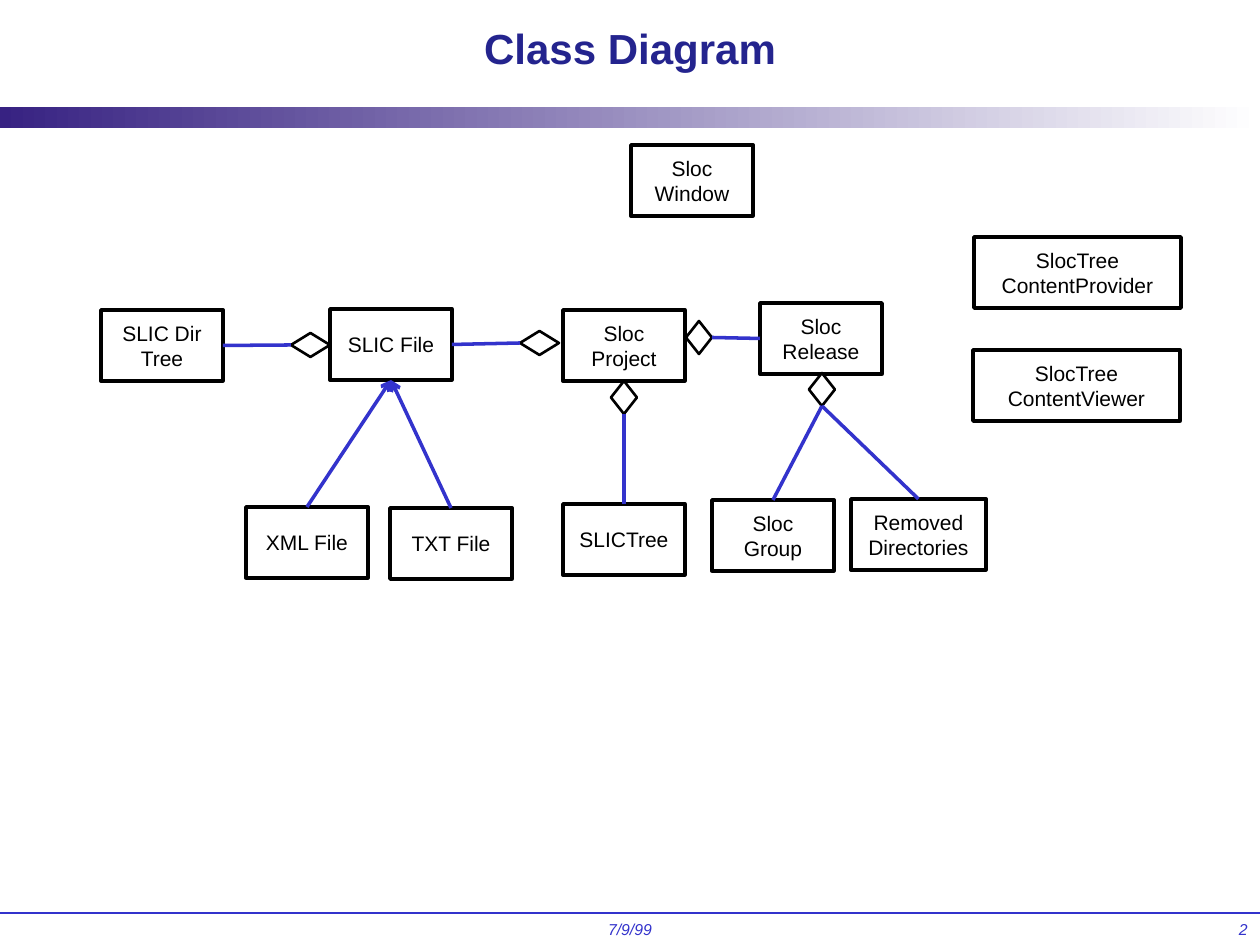
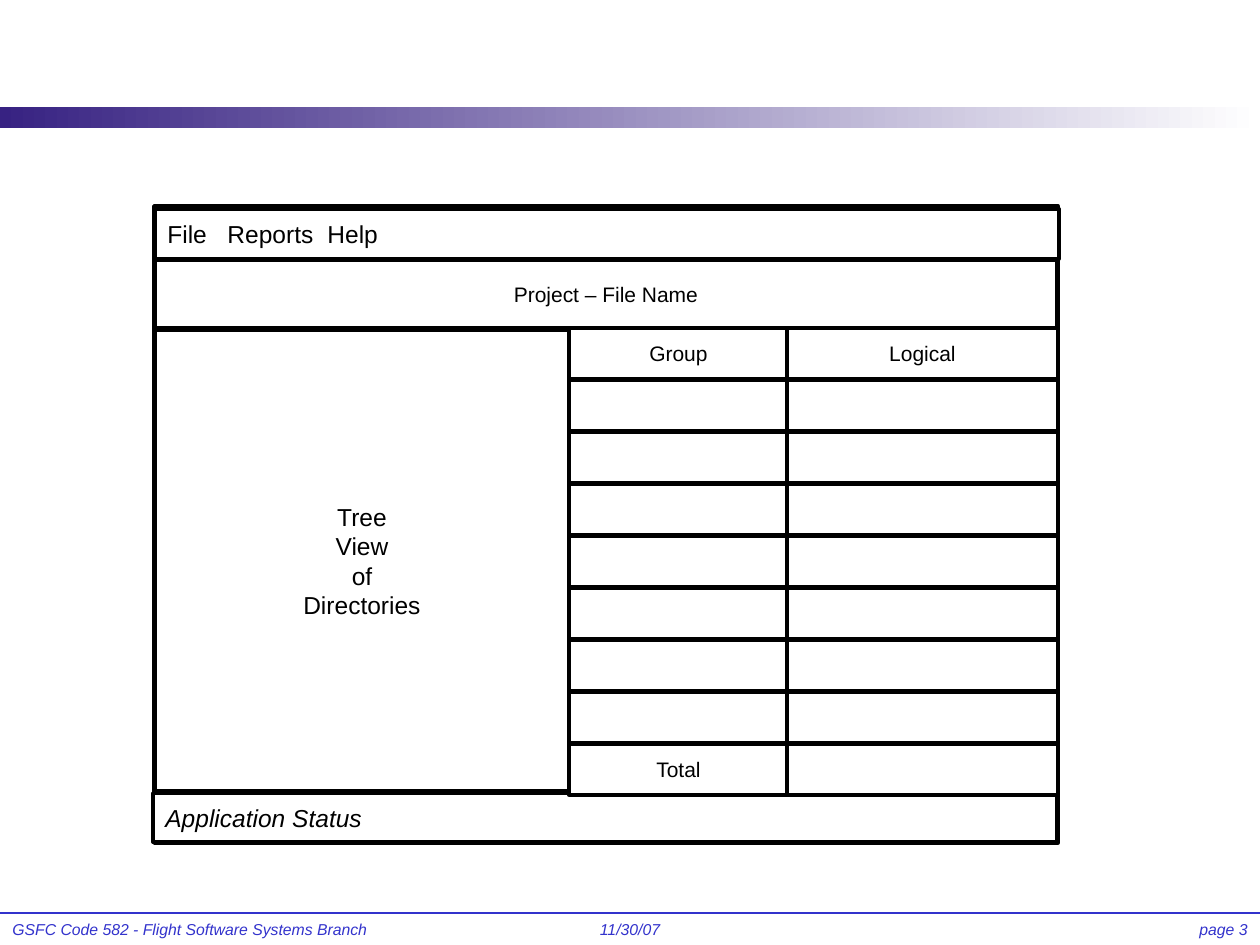
from dataclasses import dataclass

from lxml import etree
from pptx import Presentation
from pptx import util as u
from pptx.dml.color import RGBColor
from pptx.enum import shapes, text
from pptx.oxml import ns

PX = 914400 / 126
TOP, LEFT, BOTTOM, RIGHT = range(4)


@dataclass(frozen=True)
class Theme:
    """Colours, font, type sizes and line widths shared by the slides."""

    font: str = "Arial"
    ink: str = "000000"
    paper: str = "FFFFFF"
    accent: str = "3333CC"
    title: str = "24248E"
    band: str = "372282"
    title_size: int = 24
    large: int = 14
    body: int = 12
    small: int = 9
    stroke: float = 2
    thin: float = 1.5
    hairline: float = 0.75


THEME = Theme()


def px(length):
    """Turn pixels into EMU."""
    return u.Emu(round(length * PX))


def rgb(value):
    """Turn a hex string into a colour."""
    return RGBColor.from_string(value)


def write_text(frame, content, *, size=THEME.body, color=THEME.ink, bold=False, italic=False,
               align=text.PP_ALIGN.CENTER, anchor=text.MSO_ANCHOR.MIDDLE, tabs=()):
    """Fill a text frame, one paragraph per line, in one format."""
    frame.text = content
    frame.word_wrap = True
    frame.auto_size = text.MSO_AUTO_SIZE.NONE
    frame.vertical_anchor = anchor
    for para in frame.paragraphs:
        para.alignment = align
        if tabs:
            stops = etree.SubElement(para._p.get_or_add_pPr(), ns.qn("a:tabLst"))
            for stop in tabs:
                etree.SubElement(stops, ns.qn("a:tab"), pos=str(px(stop)), algn="l")
        for span in para.runs:
            font = span.font
            font.name, font.size = THEME.font, u.Pt(size)
            font.bold, font.italic = bold, italic
            font.color.rgb = rgb(color)


def add_outline(page, kind, left, top, width, height, stroke=THEME.stroke):
    """Add a white shape with a black outline."""
    shape = page.shapes.add_shape(kind, px(left), px(top), px(width), px(height))
    shape.shadow.inherit = False
    shape.fill.solid()
    shape.fill.fore_color.rgb = rgb(THEME.paper)
    shape.line.color.rgb = rgb(THEME.ink)
    shape.line.width = u.Pt(stroke)
    return shape


def add_box(page, left, top, width=122, height=71, content="", **style):
    """Add an outlined rectangle with optional text."""
    box = add_outline(page, shapes.MSO_SHAPE.RECTANGLE, left, top, width, height)
    if content:
        write_text(box.text_frame, content, **style)
    return box


def add_diamond(page, left, top, wide=False):
    """Add an aggregation diamond, lying or standing."""
    width, height = (39, 24) if wide else (26, 33)
    return add_outline(page, shapes.MSO_SHAPE.DIAMOND, left, top, width, height, THEME.thin)


def add_line(page, start=(0, 0), end=(0, 0), stroke=THEME.stroke):
    """Add a straight accent line without a shadow."""
    line = page.shapes.add_connector(
        shapes.MSO_CONNECTOR.STRAIGHT, *map(px, (*start, *end)))
    line.line.color.rgb = rgb(THEME.accent)
    line.line.width = u.Pt(stroke)
    etree.SubElement(line.element.spPr, ns.qn("a:effectLst"))
    return line


def link(page, source, source_side, target, target_side, arrow=False):
    """Glue a line between the sides of two shapes."""
    line = add_line(page)
    line.begin_connect(source, source_side)
    line.end_connect(target, target_side)
    if arrow:
        etree.SubElement(line.line._get_or_add_ln(), ns.qn("a:tailEnd"), type="arrow")


def add_footer(page, left, width, content, align):
    """Add one part of the footer."""
    box = page.shapes.add_textbox(px(left), px(914), px(width), px(31))
    write_text(box.text_frame, content, size=THEME.small, color=THEME.accent, italic=True,
               align=align, anchor=text.MSO_ANCHOR.TOP)


def add_footers(page, date, number, owner=""):
    """Add the date, the page number and the owner, if any."""
    add_footer(page, 462, 336, date, text.PP_ALIGN.CENTER)
    if owner:
        add_footer(page, 0, 399, owner, text.PP_ALIGN.LEFT)
    add_footer(page, 998, 262, number, text.PP_ALIGN.RIGHT)


def dress_master(deck, page):
    """Draw the band and footer rule, then move them to the master."""
    rule = add_line(page, (0, 913), (1260, 913), THEME.hairline)
    band = page.shapes.add_shape(shapes.MSO_SHAPE.RECTANGLE, 0, px(107), px(1260), px(21))
    band.shadow.inherit = False
    band.line.fill.background()
    band.fill.gradient()
    band.fill.gradient_angle = 0
    for stop, color in zip(band.fill.gradient_stops, (THEME.band, THEME.paper)):
        stop.color.rgb = rgb(color)
    tree = deck.slide_master.shapes.element if hasattr(
        deck.slide_master.shapes, "element") else deck.slide_master.shapes._spTree
    for shape in (rule, band):
        tree.append(shape.element)


def draw_class_diagram(page):
    """Draw the classes and how they relate."""
    title = page.shapes.title
    title.left, title.top, title.width, title.height = map(px, (94, 0, 1072, 95))
    write_text(title.text_frame, "Class Diagram", size=THEME.title_size,
               color=THEME.title, bold=True)
    add_footers(page, "7/9/99", "2")

    project = add_box(page, 563, 310, content="Sloc\nProject")
    slic_tree = add_box(page, 563, 504, content="SLICTree")
    xml_file = add_box(page, 246, 507, content="XML File")
    txt_file = add_box(page, 390, 508, content="TXT File")
    slic_file = add_box(page, 330, 309, content="SLIC File")
    dir_tree = add_box(page, 101, 310, content="SLIC Dir\nTree")
    release = add_box(page, 760, 303, content="Sloc\nRelease")
    group = add_box(page, 712, 500, content="Sloc\nGroup")
    removed = add_box(page, 851, 499, width=135, content="Removed\nDirectories")
    add_box(page, 631, 145, content="Sloc\nWindow")
    add_box(page, 974, 237, width=207, content="SlocTree\nContentProvider")
    add_box(page, 973, 350, width=207, content="SlocTree\nContentViewer")

    project_files = add_diamond(page, 520, 331, wide=True)
    file_dirs = add_diamond(page, 291, 333, wide=True)
    project_trees = add_diamond(page, 611, 381)
    project_releases = add_diamond(page, 686, 321)
    release_parts = add_diamond(page, 809, 373)

    for file_kind in (xml_file, txt_file):
        link(page, file_kind, TOP, slic_file, BOTTOM, arrow=True)
    link(page, slic_file, RIGHT, project_files, LEFT)
    link(page, dir_tree, RIGHT, file_dirs, LEFT)
    link(page, slic_tree, TOP, project_trees, BOTTOM)
    link(page, release, LEFT, project_releases, RIGHT)
    for part in (group, removed):
        link(page, part, TOP, release_parts, BOTTOM)


def draw_window_layout(page):
    """Draw the application window with its tree and count grid."""
    add_footers(page, "11/30/07", "page 3", "GSFC Code 582 - Flight Software Systems Branch")
    left_large = {"size": THEME.large, "align": text.PP_ALIGN.LEFT}
    add_box(page, 154, 206, 904, 637)
    add_box(page, 155, 209, 904, 50, "File\tReports\tHelp", tabs=(60, 160), **left_large)
    add_box(page, 155, 330, 414, 461, "Tree\nView\nof\nDirectories", size=THEME.large)
    add_box(page, 153, 793, 904, 49, "Application Status", italic=True, **left_large)
    add_box(page, 155, 260, 902, 68, "Project – File Name")

    labels = {(0, 0): "Group", (0, 1): "Logical", (8, 0): "Total"}
    columns = ((569, 219), (787, 271))
    for row in range(9):
        for column, (left, width) in enumerate(columns):
            add_box(page, left, 328 + 52 * row, width, 51, labels.get((row, column), ""))


def main():
    """Build and save the deck."""
    deck = Presentation()
    deck.slide_width, deck.slide_height = px(1260), px(945)
    diagram = deck.slides.add_slide(deck.slide_layouts[5])
    dress_master(deck, diagram)
    draw_class_diagram(diagram)
    draw_window_layout(deck.slides.add_slide(deck.slide_layouts[6]))
    deck.save("out.pptx")


if __name__ == "__main__":
    main()
